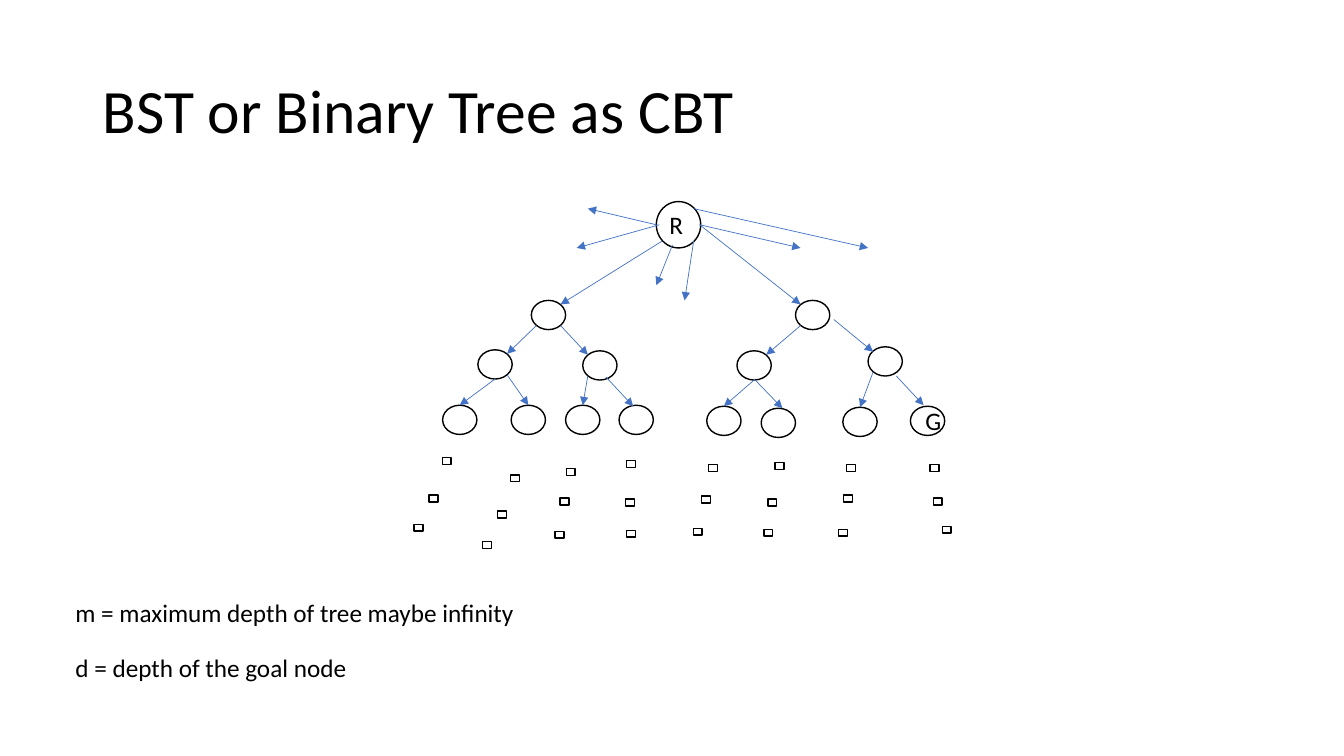
"""Build a slide showing a binary tree whose root also fans out to further branches."""
from lxml import etree
from pptx import Presentation
from pptx.dml.color import RGBColor
from pptx.enum.shapes import MSO_CONNECTOR, MSO_SHAPE
from pptx.enum.text import MSO_ANCHOR, PP_ALIGN
from pptx.oxml.ns import qn
from pptx.util import Inches, Pt

OVAL, MINUS = MSO_SHAPE.OVAL, MSO_SHAPE.MATH_MINUS
STRAIGHT = MSO_CONNECTOR.STRAIGHT
MIDDLE, TOP = MSO_ANCHOR.MIDDLE, MSO_ANCHOR.TOP
CENTER = PP_ALIGN.CENTER

THEME = {
    "font": "Calibri",
    "ink": RGBColor(0, 0, 0),
    "paper": RGBColor(255, 255, 255),
    "arrow": RGBColor(0x44, 0x72, 0xC4),
    "title": Pt(44),
    "body": Pt(18),
    "outline": Pt(1),
    "edge": Pt(0.5),
}

prs = Presentation()
prs.slide_width, prs.slide_height = Inches(13.33), Inches(7.5)
s = prs.slides.add_slide(prs.slide_layouts[6])
GRID = prs.slide_height / 75


def add_outlined(kind, col, row, cols, rows):
    """Add a white shape with a black outline, placed in grid units."""
    sp = s.shapes.add_shape(kind, *(round(v * GRID) for v in (col, row, cols, rows)))
    sp.shadow.inherit = False
    sp.fill.solid()
    sp.fill.fore_color.rgb = THEME["paper"]
    sp.line.color.rgb = THEME["ink"]
    sp.line.width = THEME["outline"]
    return sp


def set_text(sp, text, size, anchor):
    """Write one styled line into a shape."""
    tf = sp.text_frame
    tf.text = text
    tf.word_wrap = True
    tf.vertical_anchor = anchor
    font = tf.paragraphs[0].runs[0].font
    font.name, font.size, font.color.rgb = THEME["font"], size, THEME["ink"]
    return tf.paragraphs[0]


add_outlined(OVAL, 65.1, 20, 4.4, 4.6)

NODE = (3.4, 2.9)
nodes = [
    (52.7, 29.8), (78.9, 29.8),
    (47.4, 34.7), (57.8, 34.8), (73.1, 34.8), (86.1, 34.4),
    (43.9, 40.2), (50.7, 40.2), (56.1, 40.2), (61.4, 40.2),
    (70.1, 40.3), (75.5, 40.5), (83.6, 40.4),
]
for col, row in nodes:
    add_outlined(OVAL, col, row, *NODE)
goal = add_outlined(OVAL, 90.3, 40.3, *NODE)
set_text(goal, "G", THEME["body"], MIDDLE).alignment = CENTER

DASH = (1.2, 2.9)
trails = [
    [(43.7, 44.3), (42.4, 48), (40.9, 50.9)],
    [(50.5, 46), (49.2, 49.6), (47.7, 52.6)],
    [(56, 45.4), (55.4, 48.3), (54.9, 51.6)],
    [(62, 44.6), (61.9, 48.4), (62, 51.5)],
    [(70.1, 45), (69.4, 48.1), (68.6, 51.3)],
    [(76.7, 44.8), (76, 48.4), (75.6, 51.4)],
    [(83.8, 45), (83.5, 48), (83, 51.4)],
    [(92.1, 45), (92.4, 48.3), (93.3, 51.1)],
]
for trail in trails:
    for col, row in trail:
        add_outlined(MINUS, col, row, *DASH)

tree_edges = [
    (65.7, 23.9, 55.6, 30.2), (69.4, 22.3, 79.4, 30.2),
    (53.2, 32.3, 50.3, 35.1), (55.6, 32.3, 58.3, 35.2),
    (79.4, 32.3, 76, 35.2), (82.7, 31.7, 86.6, 34.9),
    (49.1, 37.6, 45.6, 40.2), (50.3, 37.2, 52.4, 40.2),
    (58.3, 37.3, 57.8, 40.2), (60.1, 37.4, 62.8, 40.3),
    (74.8, 37.7, 71.8, 40.3), (74.8, 37.6, 77.6, 40.5),
    (86.6, 36.9, 85.3, 40.4), (88.9, 37.3, 91.6, 40.2),
]
root_rays = [
    (69.4, 22.3, 79.4, 24.6), (68.8, 20.7, 86.1, 24.6),
    (65.4, 22.3, 57.2, 24.6), (66.7, 24.3, 65.1, 28.3),
    (68.8, 23.9, 67.9, 29.8), (65.1, 22.3, 58.3, 20.7),
]
for edge in tree_edges + root_rays:
    arrow = s.shapes.add_connector(STRAIGHT, *(round(v * GRID) for v in edge))
    arrow.line.color.rgb = THEME["arrow"]
    arrow.line.width = THEME["edge"]
    etree.SubElement(arrow.line._get_or_add_ln(), qn("a:tailEnd"), type="triangle")
    etree.SubElement(arrow._element.spPr, qn("a:effectLst"))

labels = [
    ("BST or Binary Tree as CBT", "title", MIDDLE, (9.2, 4, 115, 14.5)),
    ("R", "body", TOP, (65.4, 20.3, 4, 4)),
    ("m = maximum depth of tree maybe infinity", "body", TOP, (6.5, 58.8, 46.6, 4)),
    ("d = depth of the goal node", "body", TOP, (6.5, 64.2, 29.8, 4)),
]
for text, size, anchor, box in labels:
    sp = s.shapes.add_textbox(*(round(v * GRID) for v in box))
    p = set_text(sp, text, THEME[size], anchor)
    if size == "title":
        p.line_spacing = 0.9

prs.save("out.pptx")
